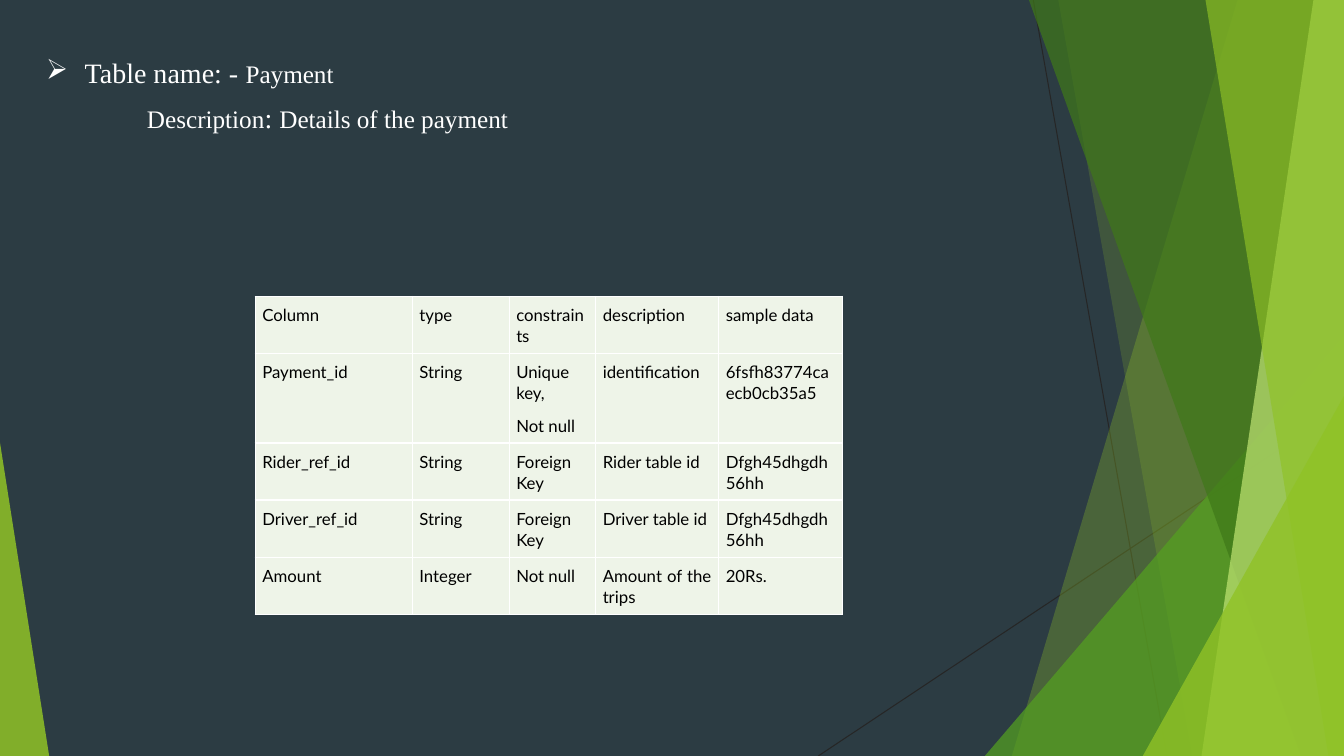
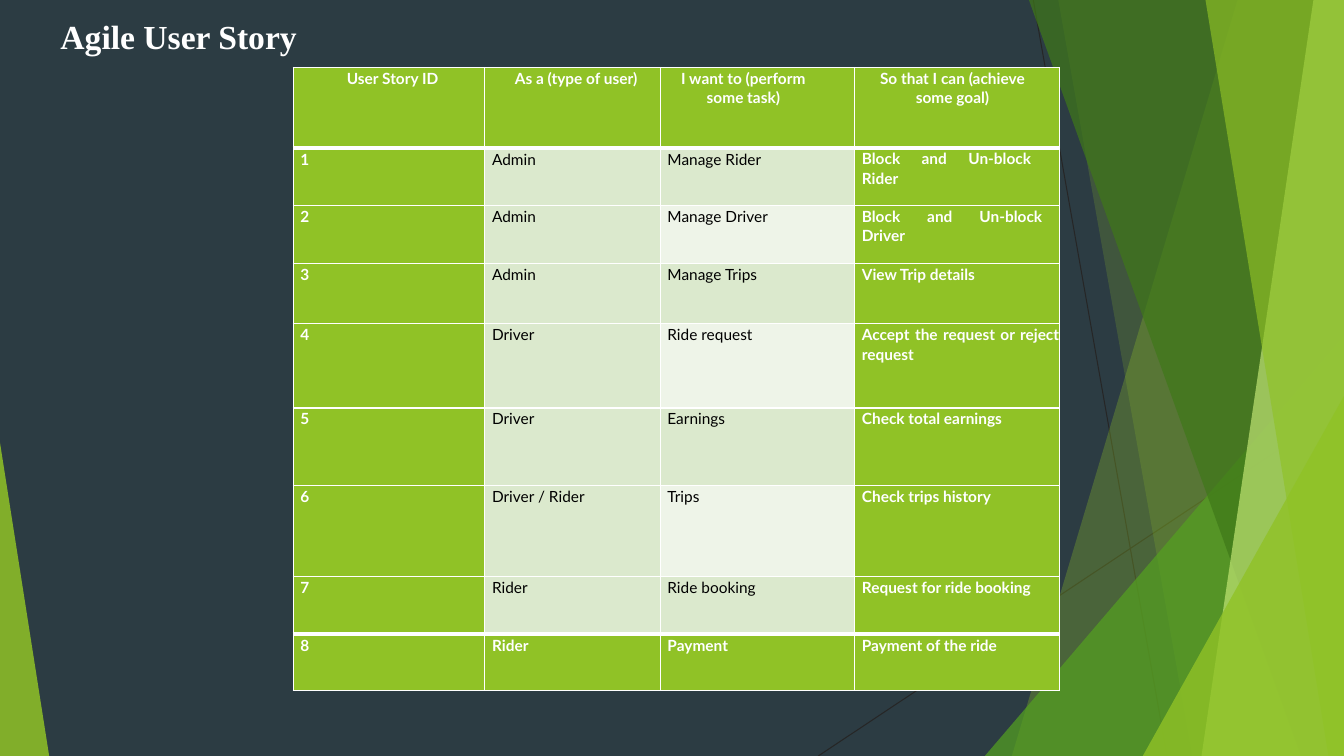
from lxml.etree import SubElement
from pptx import Presentation
from pptx.dml.color import RGBColor
from pptx.enum.shapes import MSO_CONNECTOR, MSO_SHAPE
from pptx.enum.text import MSO_ANCHOR, MSO_AUTO_SIZE, PP_ALIGN
from pptx.oxml.ns import qn
from pptx.util import Cm, Pt

NIGHT = RGBColor(0x2C, 0x3C, 0x43)
CHARCOAL = RGBColor(0x26, 0x26, 0x26)
LIME = RGBColor(0x90, 0xC2, 0x26)
LEAF = RGBColor(0x54, 0xA0, 0x21)
FOREST = RGBColor(0x3F, 0x78, 0x19)
PALE_LIME = RGBColor(0xC0, 0xE4, 0x74)
MIST = RGBColor(0xEE, 0xF4, 0xE8)
SAGE = RGBColor(0xDB, 0xE9, 0xCD)
WHITE = RGBColor(0xFF, 0xFF, 0xFF)
BLACK = RGBColor(0, 0, 0)

HEADING_FONT = "Times New Roman"
TABLE_FONT = "Lato"
WIDTH, HEIGHT = Cm(33.87), Cm(19.05)


def place_title(slide, left, top, width, height):
    title = slide.shapes.title
    title.left, title.top, title.width, title.height = Cm(left), Cm(top), Cm(width), Cm(height)
    frame = title.text_frame
    frame.word_wrap = True
    frame.auto_size = MSO_AUTO_SIZE.NONE
    frame.vertical_anchor = MSO_ANCHOR.TOP
    return frame


def make_grid(slide, left, top, widths, heights, thick_rules=()):
    grid = slide.shapes.add_table(len(heights), len(widths), Cm(left), Cm(top),
                                  Cm(sum(widths)), Cm(sum(heights))).table
    grid.first_row = grid.horz_banding = False
    for column, width in zip(grid.columns, widths):
        column.width = Cm(width)
    for r, height in enumerate(heights):
        grid.rows[r].height = Cm(height)
        for cell in grid.rows[r].cells:
            cell_properties = cell._tc.get_or_add_tcPr()
            for side, rule in (("L", None), ("R", None), ("T", r), ("B", r + 1)):
                weight = Pt(3 if rule in thick_rules else 1)
                border = SubElement(cell_properties, qn(f"a:ln{side}"), w=str(weight))
                color = SubElement(border, qn("a:solidFill"))
                SubElement(color, qn("a:srgbClr"), val=str(WHITE))
    return grid


prs = Presentation()
prs.slide_width, prs.slide_height = WIDTH, HEIGHT
title_only = prs.slide_layouts[5]
master = prs.slide_master
master.background.fill.solid()
master.background.fill.fore_color.rgb = NIGHT

payment = prs.slides.add_slide(title_only)
stories = prs.slides.add_slide(title_only)

facets = payment.shapes.add_group_shape()
for x1, y1, x2, y2 in [(26.04, 0, 29.41, 19.05), (33.87, 10.24, 20.62, 19.05)]:
    ray = facets.shapes.add_connector(MSO_CONNECTOR.STRAIGHT, Cm(x1), Cm(y1), Cm(x2), Cm(y2))
    ray.line.color.rgb = CHARCOAL
    ray.line.width = Pt(0.75)
    SubElement(ray.element.spPr, qn("a:effectLst"))

# fmt: off
FACETS = [
    (LIME, 30, (31.19, 25.5)),
    (LIME, 20, (26.67, 30.05)),
    (LEAF, 72, (24.82, 8.46, 9.05, 1)),
    (FOREST, 70, (25.93, 32.79)),
    (PALE_LIME, 70, (33.1, 30.28)),
    (LIME, 65, (30.38, 33.48)),
    (LIME, 80, (28.8, 9.98, 5.07, 1)),
    (LIME, 85, (0, 11.15, 1.24, 0)),
]
for color, opacity, outline in FACETS:
    if len(outline) == 2:
        top_x, bottom_x = outline
        builder = facets.shapes.build_freeform(Cm(top_x), 0)
        builder.add_line_segments([(WIDTH, 0), (WIDTH, HEIGHT), (Cm(bottom_x), HEIGHT)])
        facet = builder.convert_to_shape()
    else:
        left, top, width, apex = outline
        facet = facets.shapes.add_shape(MSO_SHAPE.ISOSCELES_TRIANGLE, Cm(left), Cm(top),
                                        Cm(width), HEIGHT - Cm(top))
        facet.adjustments[0] = apex
    facet.shadow.inherit = False
    facet.line.fill.background()
    facet.fill.solid()
    facet.fill.fore_color.rgb = color
    tint = facet.element.spPr.find(".//" + qn("a:srgbClr"))
    SubElement(tint, qn("a:alpha"), val=str(opacity * 1000))

for number, properties in enumerate(facets.element.iter(qn("p:cNvPr")), 100):
    properties.set("id", str(number))
master.shapes.element.append(facets.element)

heading = place_title(payment, 0.91, 1.17, 16.94, 2.29)
HEADING_LINES = [
    (0.97, -0.97, "➢", [("Table name: - ", 20), ("Payment", 18)]),
    (2.54, 0, None, [("Description", 18), (": ", 20), ("Details of the payment", 18)]),
]
for n, (margin, indent, bullet, parts) in enumerate(HEADING_LINES):
    line = heading.add_paragraph() if n else heading.paragraphs[0]
    line.alignment = PP_ALIGN.JUSTIFY
    line.line_spacing = 1.13
    if n:
        line.space_before = Pt(5)
    line_properties = line._p.get_or_add_pPr()
    line_properties.set("marL", str(Cm(margin)))
    line_properties.set("indent", str(Cm(indent)))
    if bullet:
        SubElement(line_properties, qn("a:buChar"), char=bullet)
    line.font.name = HEADING_FONT
    line.font.color.rgb = WHITE
    for text, size in parts:
        run = line.add_run()
        run.text = text
        run.font.size = Pt(size)

PAYMENT_ROWS = [
    ("Column", "type", "constraints", "description", "sample data"),
    ("Payment_id", "String", "Unique key,\nNot null", "identification", "6fsfh83774caecb0cb35a5"),
    ("Rider_ref_id", "String", "Foreign Key", "Rider table id", "Dfgh45dhgdh56hh"),
    ("Driver_ref_id", "String", "Foreign Key", "Driver table id", "Dfgh45dhgdh56hh"),
    ("Amount", "Integer", "Not null", "Amount of the trips", "20Rs."),
]
fields = make_grid(payment, 6.43, 7.47, [3.96, 2.44, 2.18, 3.1, 3.12], [0.97] + [1.32] * 4)
for r, row in enumerate(PAYMENT_ROWS):
    for c, text in enumerate(row):
        cell = fields.cell(r, c)
        cell.fill.solid()
        cell.fill.fore_color.rgb = MIST
        cell.margin_left = cell.margin_right = cell.margin_top = cell.margin_bottom = Cm(0.18)
        cell.text = text
        for line in cell.text_frame.paragraphs:
            line.alignment = PP_ALIGN.JUSTIFY
            line.line_spacing = 1.06
            line.space_after = Pt(8)
            line.font.name = TABLE_FONT
            line.font.size = Pt(12)
            line.font.color.rgb = BLACK

heading = place_title(stories, 0, 0.08, 16.97, 1.4)
heading.text = "Agile User Story"
line = heading.paragraphs[0]
line.alignment = PP_ALIGN.LEFT
line.line_spacing = 1.2
line._p.get_or_add_pPr().set("marL", str(Cm(1.27)))
line.font.name = HEADING_FONT
line.font.size = Pt(24)
line.font.bold = True
line.font.color.rgb = WHITE

STORY_ROWS = [
    ("User Story ID", "As a (type of user)", "I want to (perform some task)",
     "So that I can (achieve some goal)"),
    ("1", "Admin", "Manage Rider", "Block and Un-block Rider"),
    ("2", "Admin", "Manage Driver", "Block and Un-block Driver"),
    ("3", "Admin", "Manage Trips", "View Trip details"),
    ("4", "Driver", "Ride request", "Accept the request or reject request"),
    ("5", "Driver", "Earnings", "Check total earnings"),
    ("6", "Driver / Rider", "Trips", "Check trips history"),
    ("7", "Rider", "Ride booking", "Request for ride booking"),
    ("8", "Rider", "Payment", "Payment of the ride"),
]
RIGHT_INDENTS = {(0, 2): 0.89, (0, 3): 0.41, (1, 3): 0.71, (2, 3): 0.43}
last_row = len(STORY_ROWS) - 1
backlog = make_grid(stories, 7.39, 1.7, [4.83, 4.42, 4.9, 5.16],
                    [2.03, 1.45, 1.47, 1.5, 2.13, 1.96, 2.29, 1.45, 1.42],
                    thick_rules=(1, last_row))
for r, row in enumerate(STORY_ROWS):
    for c, text in enumerate(row):
        cell = backlog.cell(r, c)
        emphasis = r in (0, last_row) or c in (0, 3)
        cell.fill.solid()
        cell.fill.fore_color.rgb = LIME if emphasis else MIST if c == 2 and r % 2 == 0 else SAGE
        cell.margin_left = cell.margin_right = cell.margin_top = cell.margin_bottom = 0
        cell.text = text
        line = cell.text_frame.paragraphs[0]
        line.alignment = PP_ALIGN.JUSTIFY if r else PP_ALIGN.CENTER
        line_properties = line._p.get_or_add_pPr()
        line_properties.set("marL", str(Cm(0.18)))
        line.line_spacing = Pt(14.6)
        if (r, c) in RIGHT_INDENTS:
            line_properties.set("marR", str(Cm(RIGHT_INDENTS[r, c])))
            line.line_spacing = 1.07
        line.font.name = TABLE_FONT
        line.font.size = Pt(11)
        line.font.bold = emphasis
        line.font.color.rgb = WHITE if emphasis else BLACK

prs.save("out.pptx")
